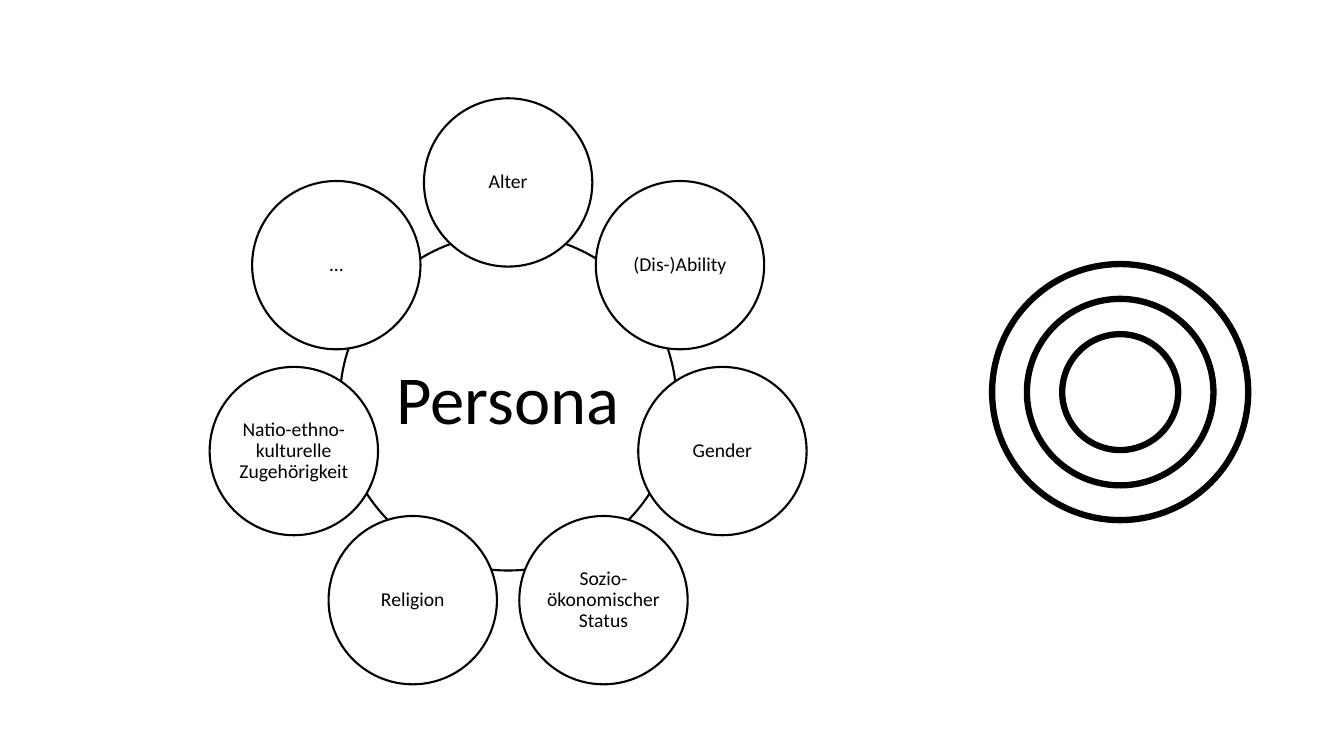
"""Build a slide with a wheel of persona dimensions beside three concentric rings."""
from math import cos, pi, sin

from pptx import Presentation
from pptx.dml.color import RGBColor
from pptx.enum import shapes, text
from pptx.util import Inches, Pt

BLACK = RGBColor(0x00, 0x00, 0x00)
WHITE = RGBColor(0xFF, 0xFF, 0xFF)

DIMENSIONS = [
    "Alter",
    "(Dis-)Ability",
    "Gender",
    "Sozio-ökonomischer Status",
    "Religion",
    "Natio-ethno-kulturelle Zugehörigkeit",
    "…",
]
WHEEL_X, WHEEL_Y = 5.04, 3.99
WHEEL_RADIUS = 2.18
RINGS_X, RINGS_Y = 11.11, 3.89
RING_DIAMETERS = [1.15, 1.85, 2.54]


def write(shape, content, *, size, font, color, inset, wrap=True):
    frame = shape.text_frame
    frame.word_wrap = wrap
    frame.vertical_anchor = text.MSO_ANCHOR.MIDDLE
    frame.margin_left = frame.margin_right = Inches(inset)
    frame.margin_top = frame.margin_bottom = Inches(inset)
    paragraph = frame.paragraphs[0]
    paragraph.alignment = text.PP_ALIGN.CENTER
    paragraph.line_spacing = 0.9
    run = paragraph.add_run()
    run.text = content
    run.font.name = font
    run.font.size = Pt(size)
    run.font.color.rgb = color


class Canvas:
    """Hold the style and the current slide."""

    font = "Calibri"
    ink = BLACK

    def __init__(self, slide):
        self.slide = slide

    def circle(self, x, y, diameter, *, width=1.5, fill=None):
        shape = self.slide.shapes.add_shape(
            shapes.MSO_SHAPE.OVAL,
            Inches(x - diameter / 2), Inches(y - diameter / 2),
            Inches(diameter), Inches(diameter))
        shape.shadow.inherit = False
        shape.line.color.rgb = self.ink
        shape.line.width = Pt(width)
        if fill is None:
            shape.fill.background()
        else:
            shape.fill.solid()
            shape.fill.fore_color.rgb = fill
        return shape

    def label(self, shape, content, **layout):
        write(shape, content, font=self.font, color=self.ink, **layout)


presentation = Presentation()
presentation.slide_width = Inches(13.33)
presentation.slide_height = Inches(7.5)
canvas = Canvas(presentation.slides.add_slide(presentation.slide_layouts[6]))

for diameter in RING_DIAMETERS:
    canvas.circle(RINGS_X, RINGS_Y, diameter, width=4.5)

hub = canvas.circle(WHEEL_X, WHEEL_Y, 3.34)
canvas.label(hub, "Persona", size=49, inset=0.07, wrap=False)

for index, dimension in enumerate(DIMENSIONS):
    angle = 2 * pi * index / len(DIMENSIONS)
    bubble = canvas.circle(
        WHEEL_X + WHEEL_RADIUS * sin(angle),
        WHEEL_Y - WHEEL_RADIUS * cos(angle),
        1.67, fill=WHITE)
    canvas.label(bubble, dimension, size=14, inset=0.02)

presentation.save("out.pptx")
